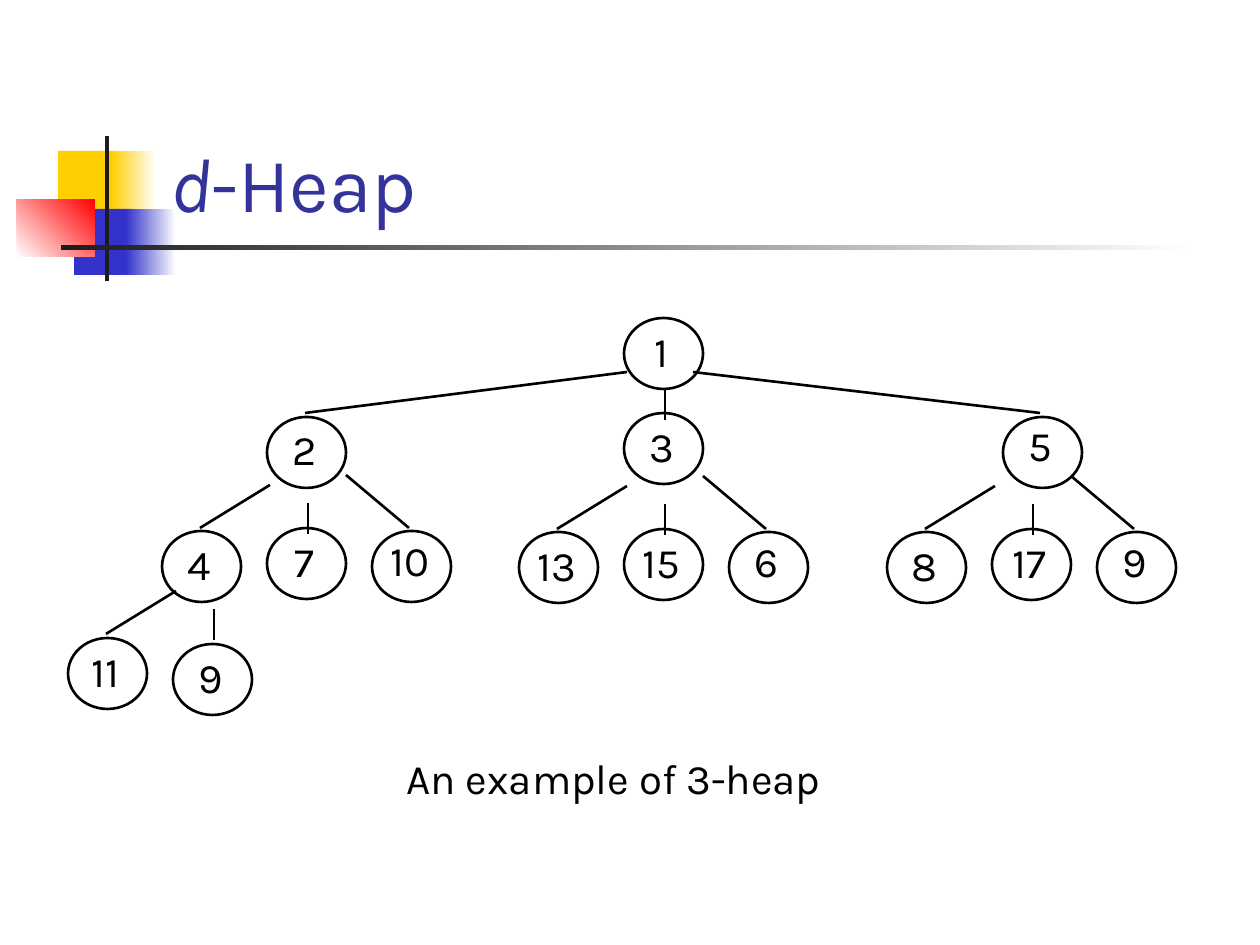
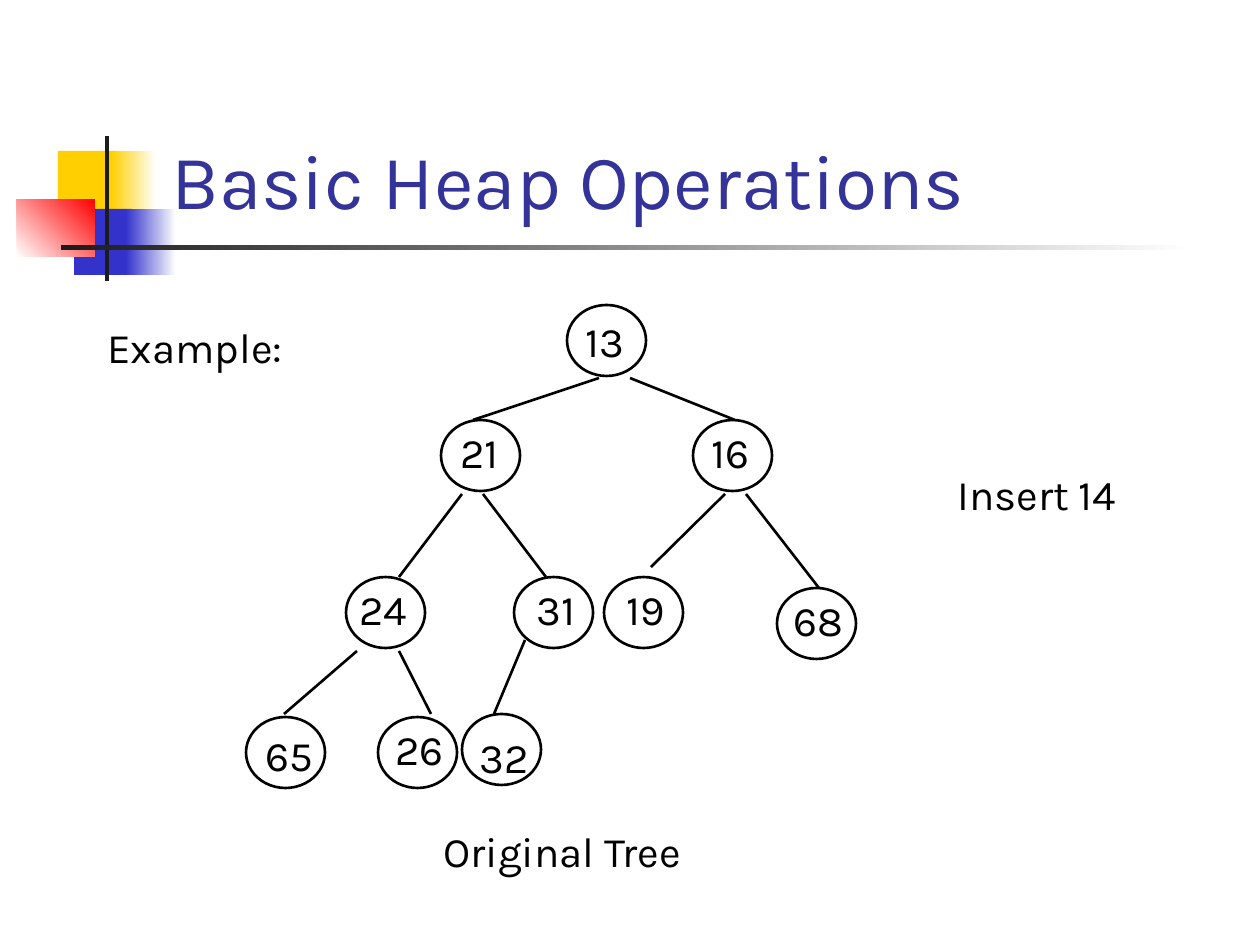
from lxml import etree
from pptx import Presentation
from pptx import util as u
from pptx.dml.color import RGBColor
from pptx.enum import shapes, text
from pptx.oxml.ns import qn

PX = 914400 / 126
FONT = "Karla"
BLACK, WHITE, INK = "000000", "FFFFFF", "1C1C1C"
YELLOW, BLUE, RED, TITLE = "FFCF01", "3333CC", "FF0000", "333399"
NODE_W, NODE_H, LABEL_H = 79, 71, 63
SIBLING_STEP = 105


def px(n):
    return u.Emu(round(n * PX))


def rgb(color):
    return RGBColor.from_string(color)


def add_text(s, x, y, w, h, runs, size=24, color=BLACK, align=text.PP_ALIGN.LEFT,
             anchor=text.MSO_ANCHOR.TOP, grow=True):
    """Add a one-paragraph text box; runs are (text, italic) pairs."""
    tf = s.shapes.add_textbox(px(x), px(y), px(w), px(h)).text_frame
    tf.word_wrap = True
    tf.vertical_anchor = anchor
    if grow:
        tf.auto_size = text.MSO_AUTO_SIZE.SHAPE_TO_FIT_TEXT
    p = tf.paragraphs[0]
    p.alignment = align
    for words, italic in runs:
        r = p.add_run()
        r.text = words
        r.font.name = FONT
        r.font.size = u.Pt(size)
        r.font.italic = italic
        r.font.color.rgb = rgb(color)


def add_block(s, x, y, w, h, start, end=None, angle=0):
    """Add a borderless rectangle, plain or fading from start to end."""
    sp = s.shapes.add_shape(shapes.MSO_SHAPE.RECTANGLE, px(x), px(y), px(w), px(h))
    sp.shadow.inherit = False
    sp.line.fill.background()
    if end is None:
        sp.fill.solid()
        sp.fill.fore_color.rgb = rgb(start)
        return
    sp.fill.gradient()
    sp.fill.gradient_angle = angle
    for stop, color, position in zip(sp.fill.gradient_stops, (start, end), (0, 1)):
        stop.color.rgb = rgb(color)
        stop.position = position


def add_edges(s, x, y, edges):
    for x1, y1, x2, y2 in edges:
        c = s.shapes.add_connector(shapes.MSO_CONNECTOR.STRAIGHT,
                                   px(x + x1), px(y + y1), px(x + x2), px(y + y2))
        c.line.color.rgb = rgb(BLACK)
        c.line.width = u.Pt(1.5)
        etree.SubElement(c._element.spPr, qn("a:effectLst"))


def add_node(s, x, y, key, dx=-15, dy=1, label_w=105):
    """Add a ringed key; dx and dy place its label from the ring's corner."""
    sp = s.shapes.add_shape(shapes.MSO_SHAPE.OVAL, px(x), px(y), px(NODE_W), px(NODE_H))
    sp.shadow.inherit = False
    sp.fill.background()
    sp.line.color.rgb = rgb(BLACK)
    sp.line.width = u.Pt(1.5)
    add_text(s, x + dx, y + dy, label_w, LABEL_H, [(str(key), False)],
             align=text.PP_ALIGN.CENTER)


def add_header(s, x, y, title, title_x, title_y):
    # Coloured squares with fading halves
    add_block(s, x + 40, y + 15, 60, 66, YELLOW)
    add_block(s, x + 93, y + 15, 45, 66, YELLOW, WHITE)
    add_block(s, x + 56, y + 73, 58, 66, BLUE)
    add_block(s, x + 108, y + 73, 50, 66, BLUE, WHITE)
    add_block(s, x - 1, y + 63, 78, 58, WHITE, RED, angle=45)
    # Crossing rules
    add_block(s, x + 87, y, 4, 145, INK)
    add_block(s, x + 43, y + 109, 1134, 5, INK, WHITE)
    # Title
    add_text(s, x + title_x, y + title_y, 1074, 202, title, size=44, color=TITLE,
             anchor=text.MSO_ANCHOR.BOTTOM, grow=False)


def add_children(s, x, y, keys, drops):
    """Add up to three siblings; x, y is the corner of the middle one."""
    edges = [(3, -43, -67, 0), (41, -25, 41, 6), (79, -53, 142, 0)]
    add_edges(s, x, y, edges[:len(keys)])
    for i, (key, drop, dy) in enumerate(zip(keys, drops, (1, 1, -3))):
        add_node(s, x + (i - 1) * SIBLING_STEP, y + drop, key, dy=dy)


def add_three_heap(s, x, y):
    # Root and second level
    add_edges(s, x, y, [(567, 62, 245, 103), (605, 78, 605, 110), (633, 62, 980, 103)])
    for key, left, top, dy in [(1, 564, 8, 1), (2, 207, 107, 0),
                               (3, 564, 103, 1), (5, 943, 107, -4)]:
        add_node(s, x + left, y + top, key, dy=dy)
    # Families below
    for left, top, keys, drops in [(207, 218, (4, 7, 10), (3, 0, 3)),
                                   (564, 219, (13, 15, 6), (3, 0, 3)),
                                   (932, 219, (8, 17, 9), (3, 0, 3)),
                                   (113, 324, (11, 9), (4, 10))]:
        add_children(s, x + left, y + top, keys, drops)


def add_binary_heap(s, x, y):
    add_edges(s, x, y, [
        (359, 78, 233, 120), (390, 78, 495, 120),
        (222, 194, 159, 277), (243, 194, 306, 277),
        (485, 194, 411, 267), (506, 194, 579, 288),
        (117, 351, 44, 414), (159, 351, 191, 414), (285, 340, 254, 414)])
    # Left, top, key, then label offset and width
    for left, top, *node in [
            (327, 5, 13, -10, 4, 95),
            (201, 120, 21, -14, 0, 105), (453, 120, 16, -4, 0, 83),
            (106, 277, 24, -10, 0, 95), (274, 277, 31, 0, 0, 84),
            (364, 277, 19, 5, 0, 73), (537, 288, 68, -17, 0, 116),
            (6, 417, 65, -4, 6, 95), (138, 417, 26, 0, 0, 83),
            (222, 414, 32, -21, 11, 126)]:
        add_node(s, x + left, y + top, *node)


def add_d_heap_slide(s):
    add_header(s, 18, 136, [("d", True), ("-Heap", False)], 140, -104)
    add_three_heap(s, 60, 310)
    add_text(s, 388, 746, 451, 113, [("An example of 3-heap", False)],
             align=text.PP_ALIGN.CENTER)


def add_operations_slide(s):
    add_header(s, 18, 136, [("Basic Heap Operations", False)], 141, -107)
    add_binary_heap(s, 240, 300)
    for x, y, w, words in [(95, 315, 220, "Example:"), (945, 462, 242, "Insert 14"),
                           (431, 819, 388, "Original Tree")]:
        add_text(s, x, y, w, LABEL_H, [(words, False)])


def main():
    prs = Presentation()
    prs.slide_width, prs.slide_height = px(1260), px(945)
    for build in (add_d_heap_slide, add_operations_slide):
        build(prs.slides.add_slide(prs.slide_layouts[6]))
    prs.save("out.pptx")


if __name__ == "__main__":
    main()
